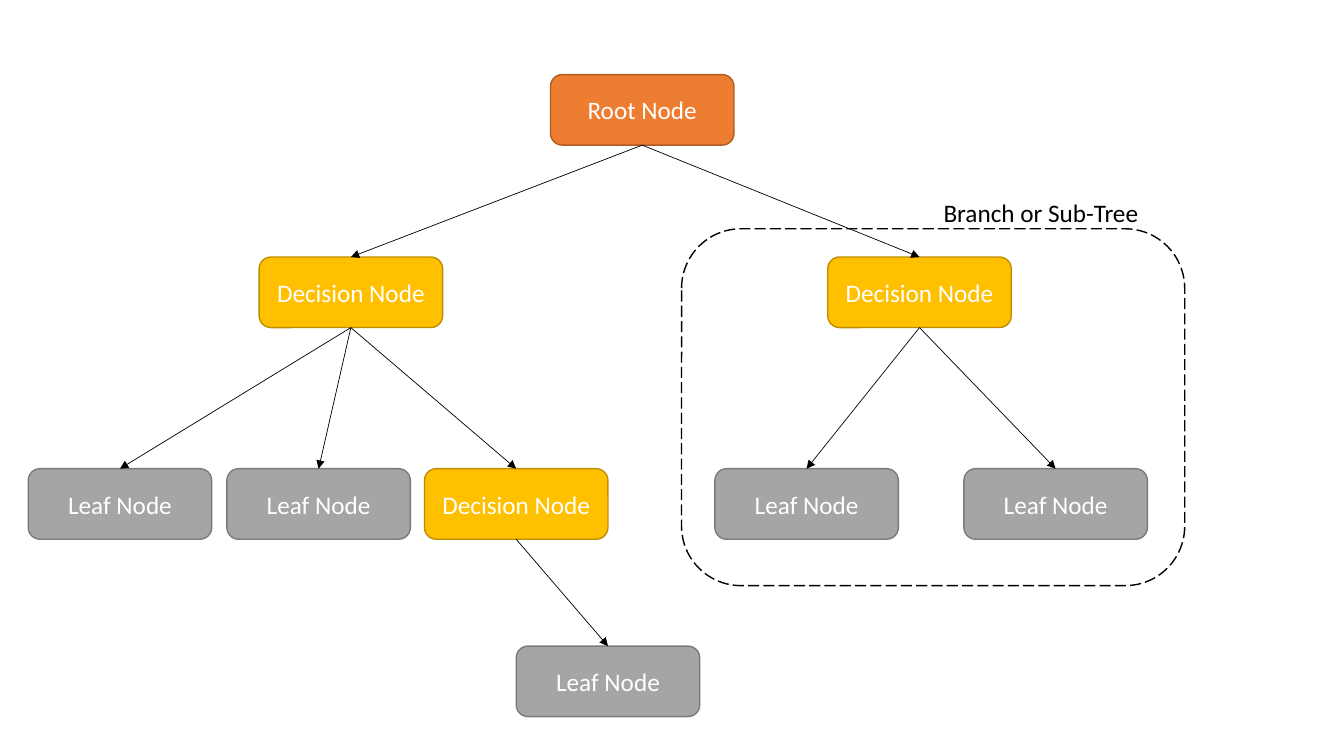
from pptx import Presentation
from pptx.dml.color import RGBColor as RGB
from pptx.enum.dml import MSO_LINE as Dash
from pptx.enum.shapes import MSO_CONNECTOR as Link, MSO_SHAPE as Shape
from pptx.enum.text import MSO_ANCHOR as Anchor, MSO_AUTO_SIZE as Fit, PP_ALIGN as Align
from pptx.oxml.ns import qn
from pptx.util import Pt
from lxml.etree import SubElement as Sub

SCALE = 9144  # EMU per px, 100 px to the inch
COLORS = {
    "root": "ED7D31", "root edge": "AF5C24",
    "decision": "FFC000", "decision edge": "BD8E00",
    "leaf": "A5A5A5", "leaf edge": "7A7A7A",
    "white": "FFFFFF", "black": "000000",
}
NODE_W, NODE_H = 182, 70
TOP, UPPER, LOWER, LAST = 74, 255, 465, 641
BOTTOM_SITE, TOP_SITE = 2, 0


def emu(*px):
    return [n * SCALE for n in px]


def color(name):
    return RGB.from_string(COLORS[name])


class Tree:
    """Draws nodes, arrows, frames and labels on one slide."""

    font, size = "Calibri", Pt(18)

    def __init__(self, slide):
        self.shapes = slide.shapes

    def letter(self, frame, text, tint):
        """Put styled text into a text frame."""
        frame.text = text
        font = frame.paragraphs[0].runs[0].font
        font.name, font.size = self.font, self.size
        font.color.rgb = color(tint)

    def box(self, x, y, w, h, edge):
        box = self.shapes.add_shape(Shape.ROUNDED_RECTANGLE, *emu(x, y, w, h))
        box.shadow.inherit = False
        box.line.color.rgb = color(edge)
        box.line.width = Pt(1)
        return box

    def node(self, kind, x, y):
        node = self.box(x, y, NODE_W, NODE_H, kind + " edge")
        node.fill.solid()
        node.fill.fore_color.rgb = color(kind)
        frame = node.text_frame
        self.letter(frame, kind.title() + " Node", "white")
        frame.vertical_anchor = Anchor.MIDDLE
        frame.paragraphs[0].alignment = Align.CENTER
        return node

    def arrow(self, parent, child):
        arrow = self.shapes.add_connector(Link.STRAIGHT, 0, 0, 0, 0)
        arrow.begin_connect(parent, BOTTOM_SITE)
        arrow.end_connect(child, TOP_SITE)
        arrow.line.color.rgb = color("black")
        arrow.line.width = Pt(0.5)
        props = arrow._element.spPr
        Sub(props.find(qn("a:ln")), qn("a:tailEnd"), type="triangle")
        Sub(props, qn("a:effectLst"))

    def frame(self, x, y, w, h):
        frame = self.box(x, y, w, h, "black")
        frame.fill.background()
        frame.line.dash_style = Dash.LONG_DASH

    def label(self, text, x, y, w, h):
        frame = self.shapes.add_textbox(*emu(x, y, w, h)).text_frame
        self.letter(frame, text, "black")
        frame.word_wrap = False
        frame.auto_size = Fit.SHAPE_TO_FIT_TEXT


def main():
    deck = Presentation()
    deck.slide_width, deck.slide_height = emu(1333, 750)
    tree = Tree(deck.slides.add_slide(deck.slide_layouts[6]))

    root = tree.node("root", 546, TOP)
    left = tree.node("decision", 257, UPPER)
    right = tree.node("decision", 821, UPPER)
    inner = tree.node("decision", 421, LOWER)
    family = [
        (root, [left, right]),
        (left, [tree.node("leaf", x, LOWER) for x in (28, 225)] + [inner]),
        (inner, [tree.node("leaf", 512, LAST)]),
        (right, [tree.node("leaf", x, LOWER) for x in (709, 956)]),
    ]
    for parent, children in family:
        for child in children:
            tree.arrow(parent, child)

    tree.frame(676, 227, 499, 354)
    tree.label("Branch or Sub-Tree", 926, 191, 216, 40)
    deck.save("out.pptx")


if __name__ == "__main__":
    main()
